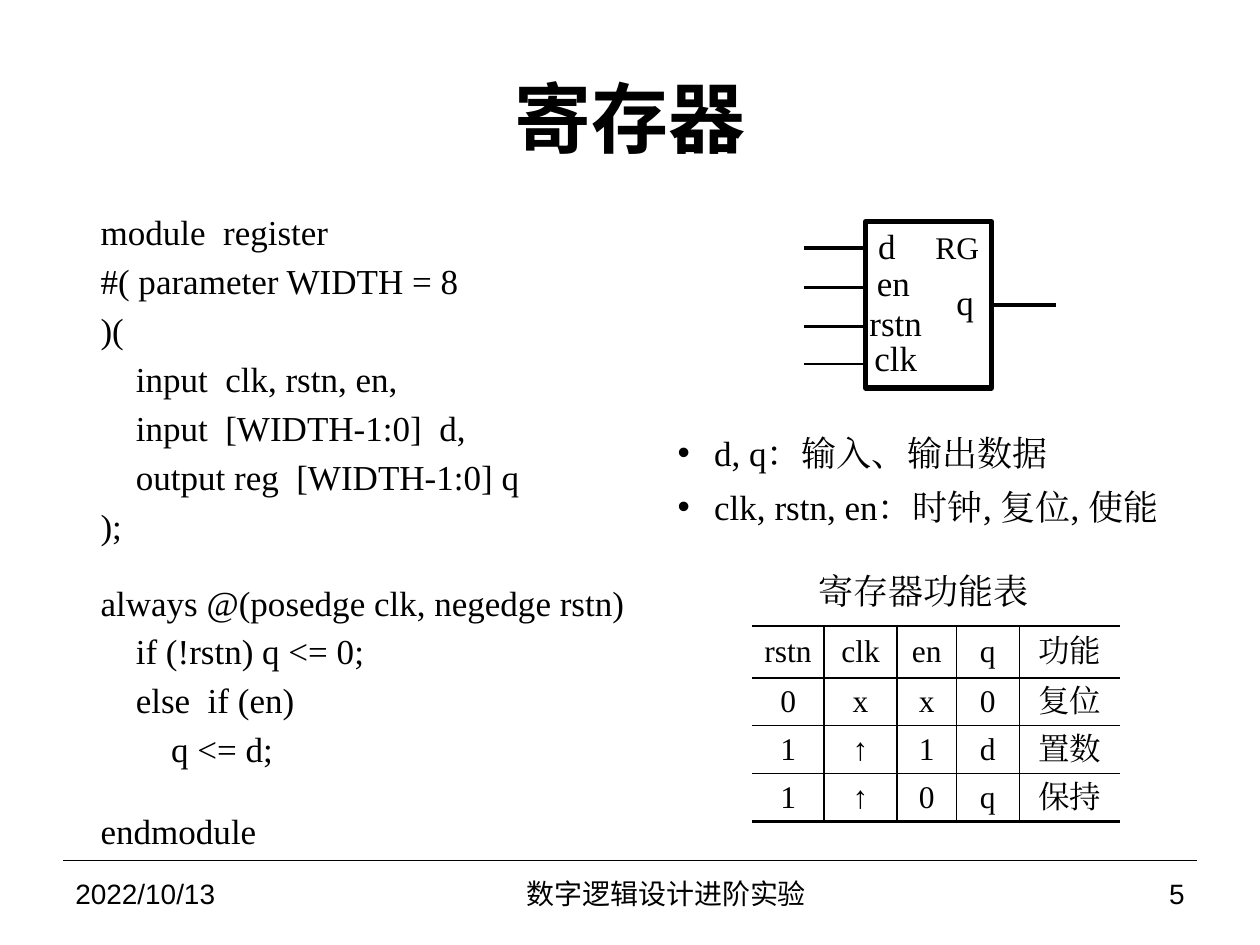
"""Build the register slide: code, block symbol, signal notes and function table."""
from dataclasses import dataclass
from lxml import etree
from pptx import Presentation
from pptx.dml.color import RGBColor
from pptx.enum.shapes import MSO_CONNECTOR as Connector, MSO_SHAPE as Preset
from pptx.enum.text import MSO_ANCHOR as Anchor, MSO_AUTO_SIZE as AutoSize, PP_ALIGN as Align
from pptx.oxml.ns import qn
from pptx.util import Inches, Pt

BLACK = RGBColor(0, 0, 0)
SERIF, SANS, HAN = "Times New Roman", "Arial", "Noto Sans CJK SC"
GRID_COLUMNS, GRID_ROWS = 100, 75
INDENT = 0.28
NO_MARGINS = {f"margin_{side}": 0 for side in ("left", "right", "top", "bottom")}

CODE = [
    (0, 0, "module  register"),
    (0, 0, "#( parameter WIDTH = 8"),
    (0, 0, ")("),
    (1, 0, "input  clk, rstn, en,"),
    (1, 0, "input  [WIDTH-1:0]  d,"),
    (1, 0, "output reg  [WIDTH-1:0] q"),
    (0, 0, ");"),
    (0, 16, "always @(posedge clk, negedge rstn)"),
    (1, 0, "if (!rstn) q <= 0;"),
    (1, 0, "else  if (en)"),
    (2, 0, "q <= d;"),
    (0, 19, "endmodule"),
]
NOTES = ["d, q：输入、输出数据", "clk, rstn, en：时钟, 复位, 使能"]
FUNCTIONS = [
    ["rstn", "clk", "en", "q", "功能"],
    ["0", "x", "x", "0", "复位"],
    ["1", "↑", "1", "d", "置数"],
    ["1", "↑", "0", "q", "保持"],
]
PINS = [
    ("d", (69.7, 18, 1.6, 3)),
    ("en", (69.6, 20.9, 3, 3)),
    ("rstn", (69, 23.9, 5.5, 3.4)),
    ("clk", (69.4, 26.9, 3.8, 3)),
    ("q", (75.9, 22.4, 1.6, 3)),
]
INPUT_WIRES = [(19.7, 2.25), (22.8, 1.5), (25.9, 1.5), (28.9, 1.5)]
FOOTERS = [
    ("2022/10/13", (5, 68.3, 23.3, 5.2), Align.LEFT),
    ("数字逻辑设计进阶实验", (28.3, 68.3, 49.2, 5.2), Align.CENTER),
    ("5", (77.5, 68.3, 17.5, 5.2), Align.RIGHT),
]


def assign(target, values):
    """Set every attribute named in a dict."""
    for name, value in values.items():
        setattr(target, name, value)


@dataclass
class Painter:
    """Hold the style and the current slide."""
    deck: object
    page: object
    color: RGBColor = BLACK
    font: str = SERIF
    size: float = 20

    def place(self, *lengths):
        """Turn grid columns and rows into slide lengths."""
        units = (self.deck.slide_width / GRID_COLUMNS, self.deck.slide_height / GRID_ROWS)
        return [round(length * units[index % 2]) for index, length in enumerate(lengths)]

    def add_span(self, para, text, align=Align.LEFT, font=None, size=None, bold=False):
        """Add one styled span to a paragraph."""
        para.alignment = align
        span = para.add_run()
        span.text = text
        name = font or self.font
        assign(span.font, {"name": name, "size": Pt(size or self.size), "bold": bold})
        span.font.color.rgb = self.color
        latin = span.font._element.find(qn("a:latin"))
        latin.addnext(latin.makeelement(qn("a:ea"), {"typeface": name}))

    def title(self, text, area):
        """Place and fill the title placeholder."""
        box = self.page.shapes.title
        assign(box, dict(zip(("left", "top", "width", "height"), self.place(*area))))
        box.text_frame.vertical_anchor = Anchor.MIDDLE
        self.add_span(box.text_frame.paragraphs[0], text, Align.CENTER, HAN, 44, True)

    def text(self, area, lines, frame_format=None, **style):
        """Add a text box and return its paragraphs."""
        frame = self.page.shapes.add_textbox(*self.place(*area)).text_frame
        assign(frame, {"word_wrap": True, **(frame_format or {})})
        for index, line in enumerate(lines):
            para = frame.add_paragraph() if index else frame.paragraphs[0]
            self.add_span(para, line, **style)
        return frame.paragraphs

    def block(self, area, label):
        """Add an outlined block with its label at the top right."""
        box = self.page.shapes.add_shape(Preset.RECTANGLE, *self.place(*area))
        box.shadow.inherit = False
        box.fill.background()
        box.line.color.rgb = self.color
        box.line.width = Pt(3)
        box.text_frame.vertical_anchor = Anchor.TOP
        self.add_span(box.text_frame.paragraphs[0], label, Align.RIGHT, size=18)
        return box

    def line(self, start, end, width):
        """Add a straight line between two grid points."""
        wire = self.page.shapes.add_connector(Connector.STRAIGHT, *self.place(*start, *end))
        wire.line.color.rgb = self.color
        wire.line.width = Pt(width)
        etree.SubElement(wire._element.spPr, qn("a:effectLst"))
        return wire

    def border(self, cell, widths):
        """Draw the left, right, top and bottom cell borders."""
        properties = cell._tc.get_or_add_tcPr()
        for index, (side, width) in enumerate(zip("LRTB", widths)):
            edge = properties.makeelement(qn(f"a:ln{side}"), {"w": str(Pt(width))})
            fill = etree.SubElement(edge, qn("a:solidFill" if width else "a:noFill"))
            if width:
                etree.SubElement(fill, qn("a:srgbClr"), val=str(self.color))
            properties.insert(index, edge)

    def table(self, area, rows, widths, heights):
        """Add a centred table that is open at its left and right."""
        last_row, last_column = len(rows) - 1, len(widths) - 1
        table = self.page.shapes.add_table(len(rows), len(widths), *self.place(*area)).table
        assign(table, {"first_row": False, "horz_banding": False})
        for column, width in zip(table.columns, widths):
            column.width = Inches(width)
        for row, height in zip(table.rows, heights):
            row.height = Inches(height)
        rules = [1.5, 1.5] + [1] * (last_row - 1) + [1.5]
        for r, values in enumerate(rows):
            for c, value in enumerate(values):
                cell = table.cell(r, c)
                assign(cell, {"vertical_anchor": Anchor.MIDDLE, **NO_MARGINS})
                cell.fill.background()
                sides = (int(c > 0), int(c < last_column))
                self.border(cell, (*sides, rules[r], rules[r + 1]))
                self.add_span(cell.text_frame.paragraphs[0], value, Align.CENTER, size=18)


def main():
    """Compose the slide and save it."""
    deck = Presentation()
    assign(deck, {"slide_width": Inches(10), "slide_height": Inches(7.5)})
    painter = Painter(deck, deck.slides.add_slide(deck.slide_layouts[5]))
    painter.line((5, 68.3), (95, 68.3), 0.75)
    painter.title("寄存器", (5, 3, 90, 12.5))

    paras = painter.text((7, 16.1, 46.4, 52.1), [line for _, _, line in CODE])
    for para, (level, gap, _) in zip(paras, CODE):
        assign(para, {"space_before": Pt(gap), "space_after": Pt(3), "line_spacing": 1.04})
        para._p.get_or_add_pPr().set("marL", str(Inches(INDENT * level)))

    painter.table((59.7, 49.7, 29.2, 15.5), FUNCTIONS,
                  (0.57, 0.58, 0.47, 0.5, 0.8), (0.41, 0.38, 0.38, 0.38))
    fitted = {"word_wrap": False, "auto_size": AutoSize.SHAPE_TO_FIT_TEXT}
    painter.text((63.8, 44.7, 19, 4.4), ["寄存器功能表"], fitted, align=Align.CENTER)

    for para in painter.text((52.8, 33.6, 40.9, 8.6), NOTES):
        assign(para, {"space_before": Pt(6), "line_spacing": 1.04})
        properties = para._p.get_or_add_pPr()
        properties.set("marL", str(Inches(0.29)))
        properties.set("indent", str(Inches(-0.29)))
        etree.SubElement(properties, qn("a:buFont"), typeface=SANS)
        etree.SubElement(properties, qn("a:buChar"), char="•")

    register = painter.block((68.7, 17.6, 10, 13.2), "RG")
    for row, width in INPUT_WIRES:
        painter.line((63.8, row), (68.6, row), width)
    painter.line((78.7, 24.2), (83.8, 24.2), 2.25).begin_connect(register, 3)
    for name, area in PINS:
        painter.text(area, [name], {"vertical_anchor": Anchor.MIDDLE, **NO_MARGINS, **fitted})

    for label, area, align in FOOTERS:
        painter.text(area, [label], {"vertical_anchor": Anchor.MIDDLE},
                     align=align, font=SANS, size=16)
    deck.save("out.pptx")


if __name__ == "__main__":
    main()
